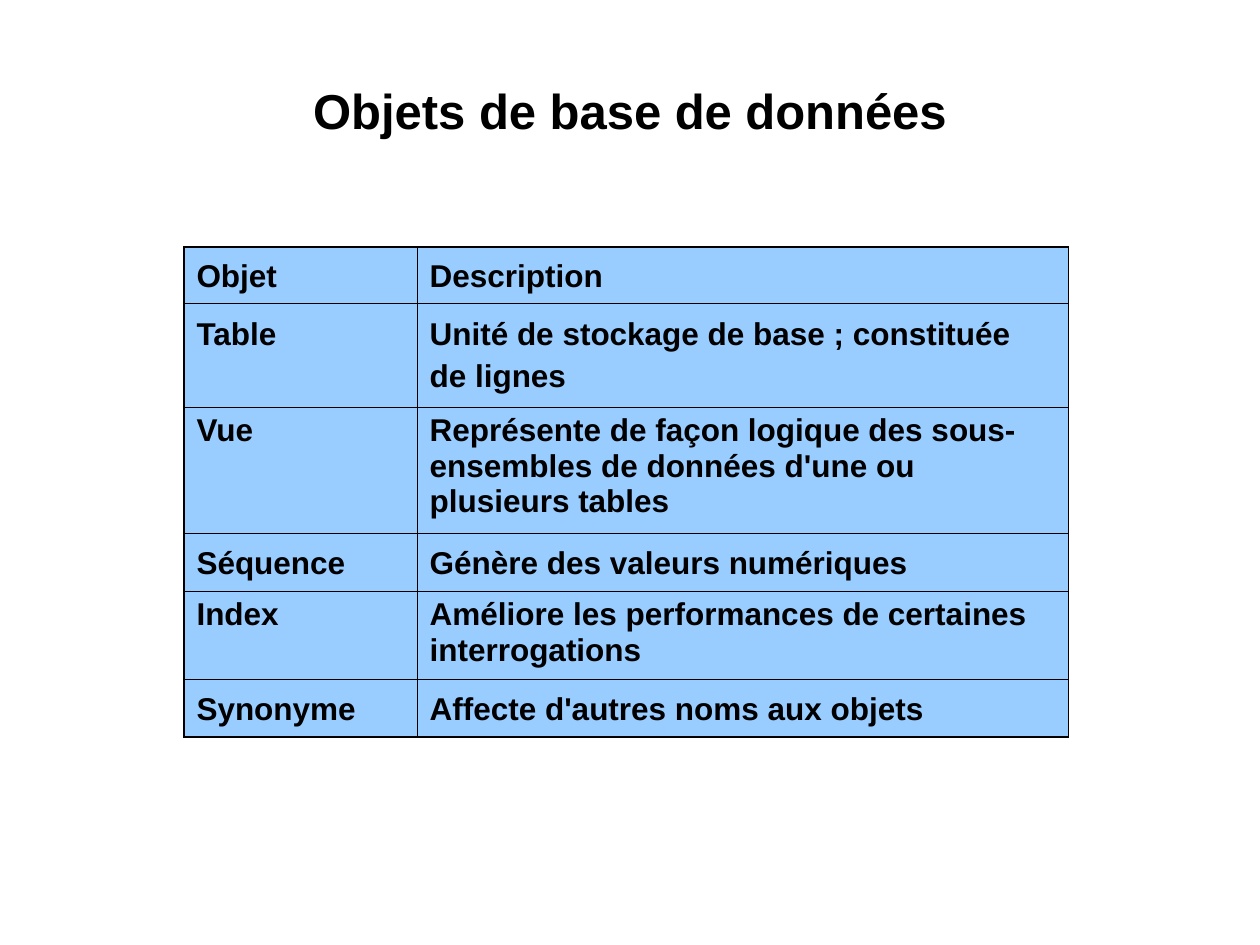
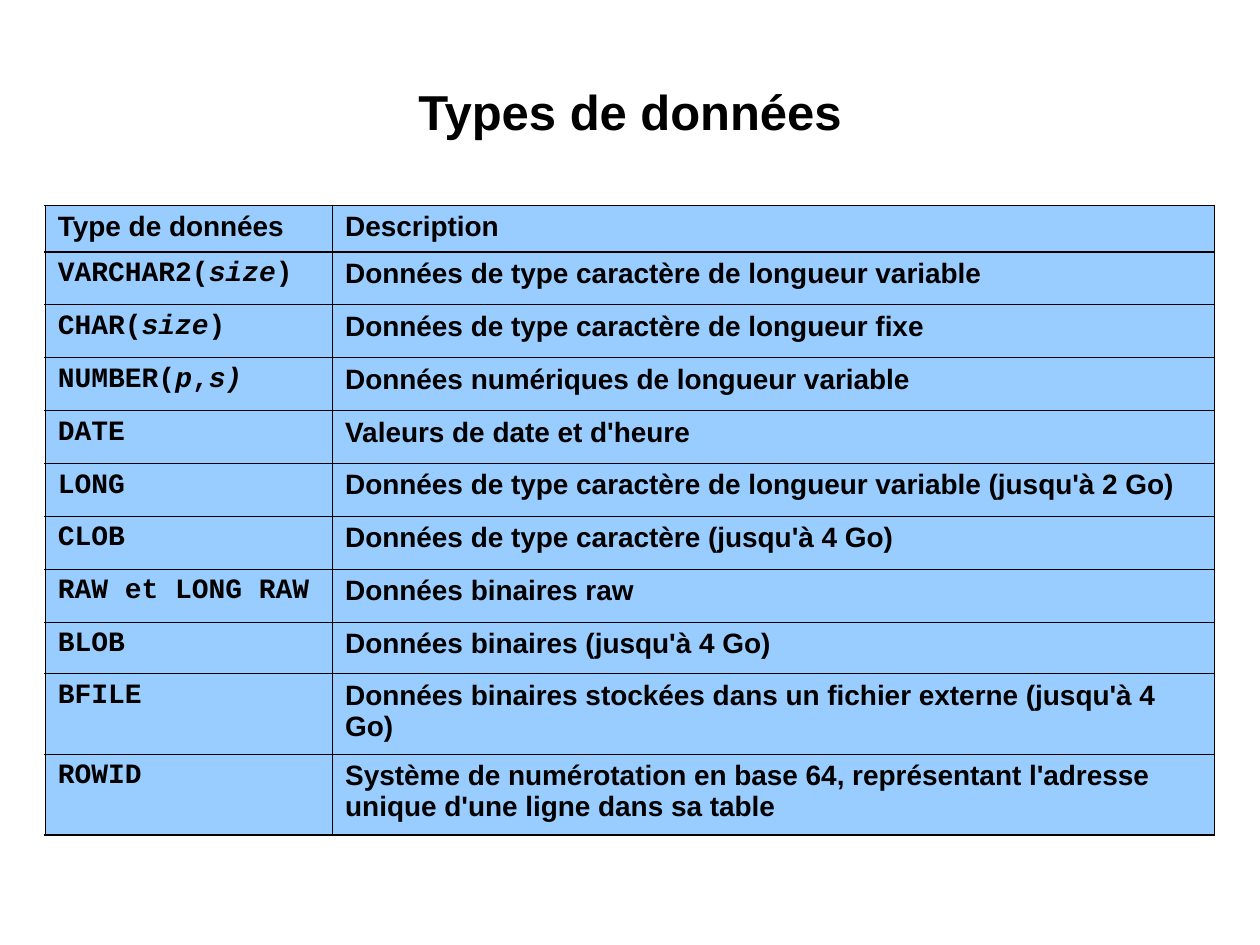
from lxml.etree import SubElement
from pptx import Presentation
from pptx.dml.color import RGBColor
from pptx.enum.text import MSO_ANCHOR, MSO_AUTO_SIZE, PP_ALIGN
from pptx.oxml.ns import qn
from pptx.util import Inches, Pt

BLACK = "000000"
CELL_BLUE = "99CCFF"
THICK, THIN = 1.08, 0.45
TITLE_ONLY = 5

# Each row: height, line spacing, first cell, second cell. Text between asterisks is italic.
SLIDES = [
    {
        "title": "Objets de base de données",
        "title_top": 0.58, "title_inset": 0.06,
        "left": 1.46, "top": 1.96, "widths": (1.85, 5.17),
        "size": 18, "name_font": "Arial",
        "rows": [
            (0.45, 1.15, "Objet", "Description"),
            (0.82, 1.2, "Table", "Unité de stockage de base ; constituée de lignes"),
            (1, 1, "Vue", "Représente de façon logique des sous-ensembles de données d'une ou plusieurs tables"),
            (0.46, 1.2, "Séquence", "Génère des valeurs numériques"),
            (0.7, 1, "Index", "Améliore les performances de certaines interrogations"),
            (0.46, 1.2, "Synonyme", "Affecte d'autres noms aux objets"),
        ],
    },
    {
        "title": "Types de données",
        "title_top": 0.56, "title_inset": 0.09,
        "left": 0.36, "top": 1.63, "widths": (2.28, 7),
        "size": 16, "name_font": "Courier New",
        "rows": [
            (0.37, 1, "Type de données", "Description"),
            (0.42, 1, "VARCHAR2(*size*)", "Données de type caractère de longueur variable"),
            (0.42, 1, "CHAR(*size*)", "Données de type caractère de longueur fixe"),
            (0.42, 1, "NUMBER(*p*,*s)*", "Données numériques de longueur variable"),
            (0.42, 1, "DATE", "Valeurs de date et d'heure"),
            (0.42, 1, "LONG", "Données de type caractère de longueur variable (jusqu'à 2 Go)"),
            (0.42, 1, "CLOB", "Données de type caractère (jusqu'à 4 Go)"),
            (0.42, 1, "RAW et LONG RAW", "Données binaires raw"),
            (0.41, 1, "BLOB", "Données binaires (jusqu'à 4 Go)"),
            (0.64, 1, "BFILE", "Données binaires stockées dans un fichier externe (jusqu'à 4 Go)"),
            (0.64, 1, "ROWID", "Système de numérotation en base 64, représentant l'adresse unique d'une ligne dans sa table"),
        ],
    },
]


def color(value):
    return RGBColor.from_string(value)


def write(frame, text, size, font="Arial", align=PP_ALIGN.LEFT, spacing=1):
    """Fill the first paragraph with bold text; parts between asterisks are italic."""
    para = frame.paragraphs[0]
    para.alignment = align
    para.line_spacing = float(spacing)
    para.space_before = Pt(0)
    for index, part in enumerate(text.split("*")):
        if part:
            span = para.add_run()
            span.text = part
            span.font.name = font
            span.font.size = Pt(size)
            span.font.bold = True
            span.font.italic = index % 2 == 1
            span.font.color.rgb = color(BLACK)


def set_borders(cell, **widths):
    """Draw the sides L, R, T and B, given in that order, in points."""
    properties = cell._tc.get_or_add_tcPr()
    for side, width in widths.items():
        line = SubElement(properties, qn(f"a:ln{side}"), w=str(Pt(width)))
        fill = SubElement(line, qn("a:solidFill"))
        SubElement(fill, qn("a:srgbClr"), val=BLACK)


def add_title(page, content):
    box = page.shapes.title
    box.left, box.top = Inches(1), Inches(content["title_top"])
    box.width, box.height = Inches(8), Inches(0.96)
    frame = box.text_frame
    frame.auto_size = MSO_AUTO_SIZE.NONE
    frame.vertical_anchor = MSO_ANCHOR.TOP
    frame.margin_top = Inches(content["title_inset"])
    write(frame, content["title"], 28, align=PP_ALIGN.CENTER)


def add_object_table(page, content):
    rows, widths = content["rows"], content["widths"]
    last_row, last_column = len(rows) - 1, len(widths) - 1
    table = page.shapes.add_table(
        len(rows), len(widths), Inches(content["left"]), Inches(content["top"]),
        Inches(sum(widths)), Inches(sum(row[0] for row in rows))).table
    table.first_row = table.horz_banding = False
    for column, width in zip(table.columns, widths):
        column.width = Inches(width)
    for r, (height, spacing, *texts) in enumerate(rows):
        table.rows[r].height = Inches(height)
        for c, text in enumerate(texts):
            cell = table.cell(r, c)
            set_borders(
                cell,
                L=THICK if c == 0 else THIN,
                R=THICK if c == last_column else THIN,
                T=THICK if r <= 1 else THIN,
                B=THICK if r in (0, last_row) else THIN)
            cell.fill.solid()
            cell.fill.fore_color.rgb = color(CELL_BLUE)
            cell.vertical_anchor = MSO_ANCHOR.TOP
            font = content["name_font"] if r > 0 and c == 0 else "Arial"
            write(cell.text_frame, text, content["size"], font=font, spacing=spacing)


def main():
    deck = Presentation()
    deck.slide_width, deck.slide_height = Inches(10), Inches(7.5)
    for content in SLIDES:
        page = deck.slides.add_slide(deck.slide_layouts[TITLE_ONLY])
        add_title(page, content)
        add_object_table(page, content)
    deck.save("out.pptx")


if __name__ == "__main__":
    main()
